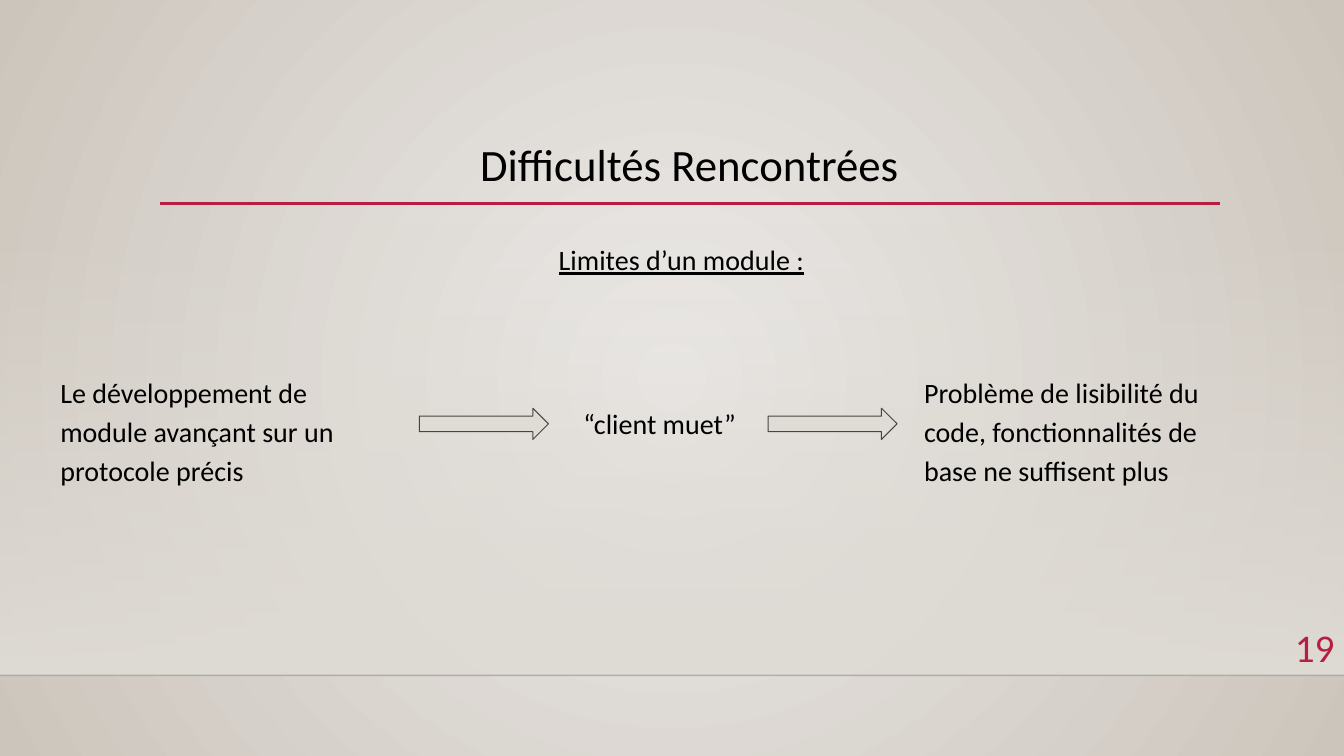
"""Builds the slide on the limits of a module, with its three-step flow."""
import pptx
import pptx.util
import pptx.dml.color
import pptx.enum.shapes
import pptx.enum.text
import pptx.oxml
import pptx.oxml.ns
from dataclasses import dataclass

Pt = pptx.util.Pt
RGB = pptx.dml.color.RGBColor.from_string
qn = pptx.oxml.ns.qn
ALIGN = pptx.enum.text.PP_ALIGN
ANCHOR = pptx.enum.text.MSO_ANCHOR
SHAPE = pptx.enum.shapes.MSO_SHAPE
NS = pptx.oxml.ns.nsdecls("a")


@dataclass(frozen=True)
class Theme:
    font: str = "Calibri"
    ink: str = "000000"
    accent: str = "B71E42"
    glow: str = "ECEAE8"
    edge: str = "CCC5BC"
    panel: str = "DFDBD5"
    outline: str = "454545"
    floor: str = "000001"
    title: int = 32
    body: int = 20
    number: int = 28


theme = Theme()


def add_text(box, text, size, color=theme.ink, align=ALIGN.LEFT, spacing=1.0,
             anchor=ANCHOR.TOP, insets=(7.2, 3.6, 7.2, 3.6)):
    frame = slide.shapes.add_textbox(*map(Pt, box)).text_frame
    frame.word_wrap = True
    frame.vertical_anchor = anchor
    frame.margin_left, frame.margin_top, frame.margin_right, frame.margin_bottom = map(Pt, insets)
    paragraph = frame.paragraphs[0]
    paragraph.text = text
    paragraph.alignment = align
    paragraph.line_spacing = spacing
    paragraph.font.name = theme.font
    paragraph.font.size = Pt(size)
    paragraph.font.color.rgb = RGB(color)
    return paragraph


def add_rule(left, right, y, color, width):
    rule = slide.shapes.add_connector(
        pptx.enum.shapes.MSO_CONNECTOR.STRAIGHT, Pt(left), Pt(y), Pt(right), Pt(y))
    rule.line.color.rgb = RGB(color)
    rule.line.width = Pt(width)
    rule._element.spPr.append(pptx.oxml.parse_xml(f"<a:effectLst {NS}/>"))
    return rule


deck = pptx.Presentation()
deck.slide_width, deck.slide_height = Pt(960), Pt(540)
slide = deck.slides.add_slide(deck.slide_layouts[6])

backdrop = slide.background.fill
backdrop.gradient()
for stop, color in zip(backdrop.gradient_stops, (theme.glow, theme.edge)):
    stop.color.rgb = RGB(color)
radial = next(slide._element.iter(qn("a:gradFill")))
radial.replace(radial.find(qn("a:lin")), pptx.oxml.parse_xml(
    f'<a:path {NS} path="circle">'
    '<a:fillToRect l="50000" t="50000" r="50000" b="50000"/></a:path>'))

panel = slide.shapes.add_shape(SHAPE.RECTANGLE, Pt(0), Pt(159), Pt(960), Pt(323.4))
panel.shadow.inherit = False
panel.line.fill.background()
panel.fill.gradient()
panel.fill.gradient_angle = 270
for stop in panel.fill.gradient_stops:
    stop.color.rgb = RGB(theme.panel)
panel_top = next(panel._element.iter(qn("a:srgbClr")))
panel_top.append(pptx.oxml.parse_xml(f'<a:alpha {NS} val="0"/>'))

floor = add_rule(0, 960, 482.4, theme.floor, 1)
floor_color = next(floor._element.iter(qn("a:srgbClr")))
floor_color.append(pptx.oxml.parse_xml(f'<a:alpha {NS} val="20000"/>'))
add_rule(114.5, 871.2, 145.4, theme.accent, 2.5)

add_text((114.5, 94.3, 756, 50.4), "Difficultés Rencontrées", theme.title,
         align=ALIGN.CENTER, spacing=0.9, anchor=ANCHOR.MIDDLE)
add_text((896.4, 441.4, 64, 39.6), "19", theme.number, theme.accent, ALIGN.RIGHT)

even_insets = (7.2, 7.2, 7.2, 7.2)
subtitle = add_text((383, 162.7, 207.4, 86.4), "Limites d’un module :", theme.body,
                    align=ALIGN.CENTER, spacing=1.15, insets=even_insets)
subtitle.font.underline = True

for left, statement in (
    (36, "Le développement de module avançant sur un protocole précis"),
    (653, "Problème de lisibilité du code, fonctionnalités de base ne suffisent plus"),
):
    add_text((left, 261.4, 251.3, 92.9), statement, theme.body, spacing=1.15,
             insets=(7.2, 3.6, 10.8, 3.6))
add_text((409.7, 283, 126, 62.6), "“client muet”", theme.body, insets=even_insets)

for left in (299.5, 548.6):
    arrow = slide.shapes.add_shape(SHAPE.RIGHT_ARROW, Pt(left), Pt(291.6), Pt(92.2), Pt(22.3))
    arrow.shadow.inherit = False
    arrow.fill.solid()
    arrow.fill.fore_color.rgb = RGB(theme.panel)
    arrow.line.color.rgb = RGB(theme.outline)
    arrow.line.width = Pt(0.75)

deck.save("out.pptx")
